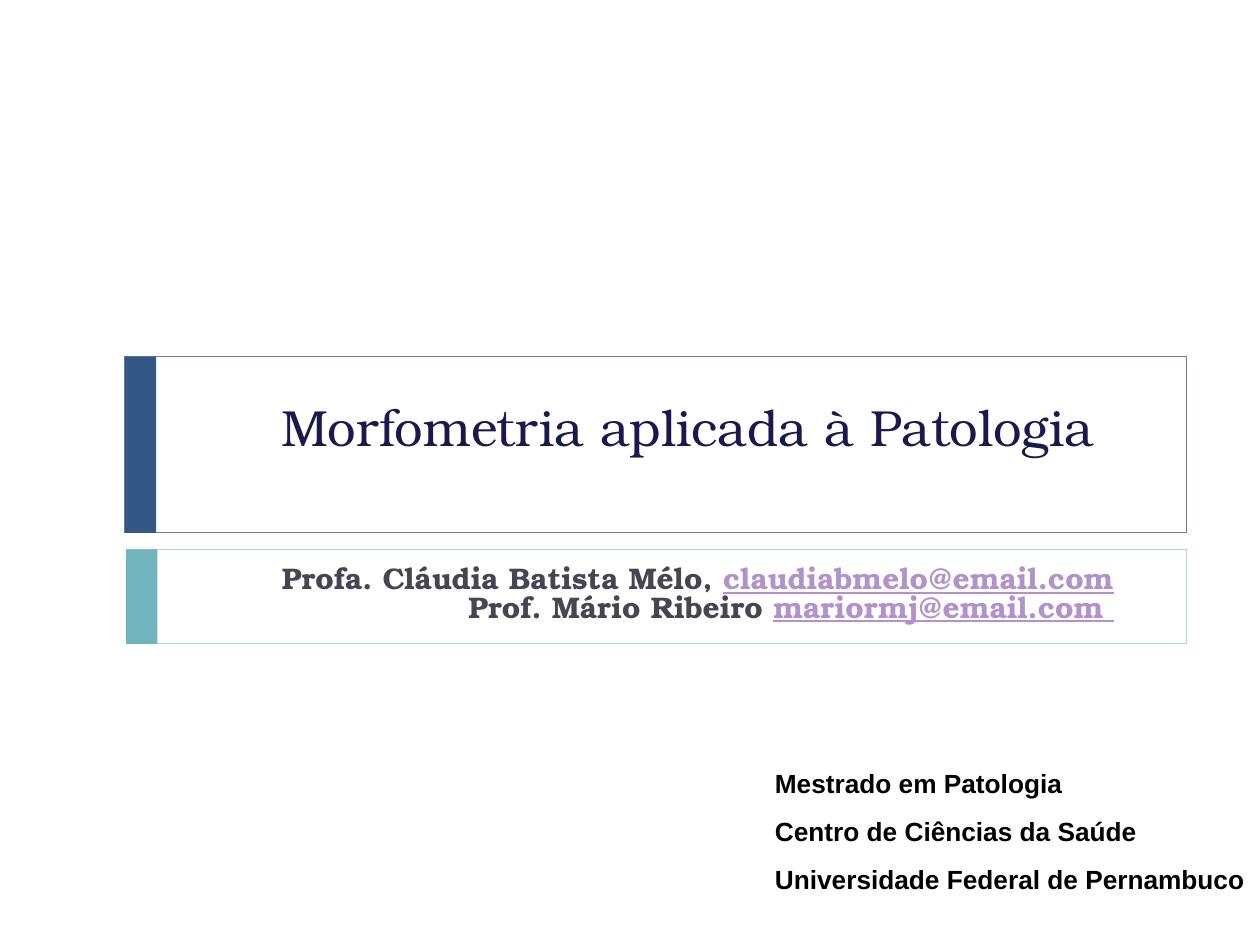
from pptx import Presentation
from pptx.dml.color import RGBColor
from pptx.enum.shapes import MSO_SHAPE
from pptx.enum.text import PP_ALIGN
from pptx.util import Inches, Pt

COLORS = {
    "navy": "19194D", "slate": "727CA3", "blue": "345786",
    "aqua": "AADAD8", "teal": "72B4BD",
    "gray": "464653", "link": "B292CA", "black": "000000",
}
SERIF, SANS = "TeX Gyre Bonum", "Arial"


def rgb(name):
    return RGBColor.from_string(COLORS[name])


def add_rect(slide, x, y, w, h, fill=None, line=None):
    sp = slide.shapes.add_shape(MSO_SHAPE.RECTANGLE, Inches(x), Inches(y),
                                Inches(w), Inches(h))
    sp.shadow.inherit = False
    if fill:
        sp.fill.solid()
        sp.fill.fore_color.rgb = rgb(fill)
    else:
        sp.fill.background()
    if line:
        sp.line.color.rgb = rgb(line)
        sp.line.width = Pt(0.5)
    else:
        sp.line.fill.background()


def add_text(slide, x, y, w, h, paragraphs, *, size, font, bold=False,
             align=PP_ALIGN.LEFT, before=0, spacing=1.0, wrap=True,
             insets=(0.1, 0.05, 0.14, 0.05)):
    """Each paragraph is a list of lines; each line is a list of (text, color)."""
    tf = slide.shapes.add_textbox(Inches(x), Inches(y), Inches(w), Inches(h)).text_frame
    tf.word_wrap = wrap
    tf.margin_left, tf.margin_top, tf.margin_right, tf.margin_bottom = map(Inches, insets)
    for i, lines in enumerate(paragraphs):
        p = tf.add_paragraph() if i else tf.paragraphs[0]
        p.alignment, p.space_before, p.line_spacing = align, Pt(before), spacing
        for j, line in enumerate(lines):
            if j:
                p.add_line_break()
            for text, color in line:
                r = p.add_run()
                r.text = text
                r.font.size, r.font.name, r.font.bold = Pt(size), font, bold
                r.font.color.rgb = rgb(color)
                r.font.underline = color == "link"


def add_banner(slide, x, y, w, h, accent, line):
    """Outlined box with a solid bar along its left edge."""
    add_rect(slide, x, y, w, h, line=line)
    add_rect(slide, x, y, 0.25, h, fill=accent)


def add_title(slide, x, y, w, h):
    add_banner(slide, x, y, w, h, "blue", "slate")
    add_text(slide, x + 0.34, y + 0.26, 7.5, 0.59,
             [[[("Morfometria aplicada à Patologia", "navy")]]],
             size=29, font=SERIF, align=PP_ALIGN.RIGHT, before=18.1)


def add_authors(slide, x, y, w, h):
    add_banner(slide, x, y, w, h, "teal", "aqua")
    add_text(slide, x + 0.48, y + 0.09, 7.5, 0.6,
             [[[("Profa. Cláudia Batista Mélo, ", "gray"),
                ("claudiabmelo@email.com", "link")],
               [("Prof. Mário Ribeiro ", "gray"),
                ("mariormj@email.com ", "link")]]],
             size=17, font=SERIF, bold=True, align=PP_ALIGN.RIGHT,
             before=4.2, spacing=0.8)


def add_institution(slide, x, y, w, h):
    names = ("Mestrado em Patologia", "Centro de Ciências da Saúde",
             "Universidade Federal de Pernambuco")
    add_text(slide, x, y, w, h, [[[(name, "black")]] for name in names],
             size=15, font=SANS, bold=True, before=9.4, wrap=False,
             insets=(0.04, 0, 0.04, 0))


def main():
    prs = Presentation()
    prs.slide_width, prs.slide_height = Inches(10), Inches(7.5)
    slide = prs.slides.add_slide(prs.slide_layouts[6])
    add_title(slide, 0.99, 2.83, 8.43, 1.4)
    add_authors(slide, 1, 4.36, 8.42, 0.75)
    add_institution(slide, 6.11, 6.09, 3.82, 1.01)
    prs.save("out.pptx")


if __name__ == "__main__":
    main()
